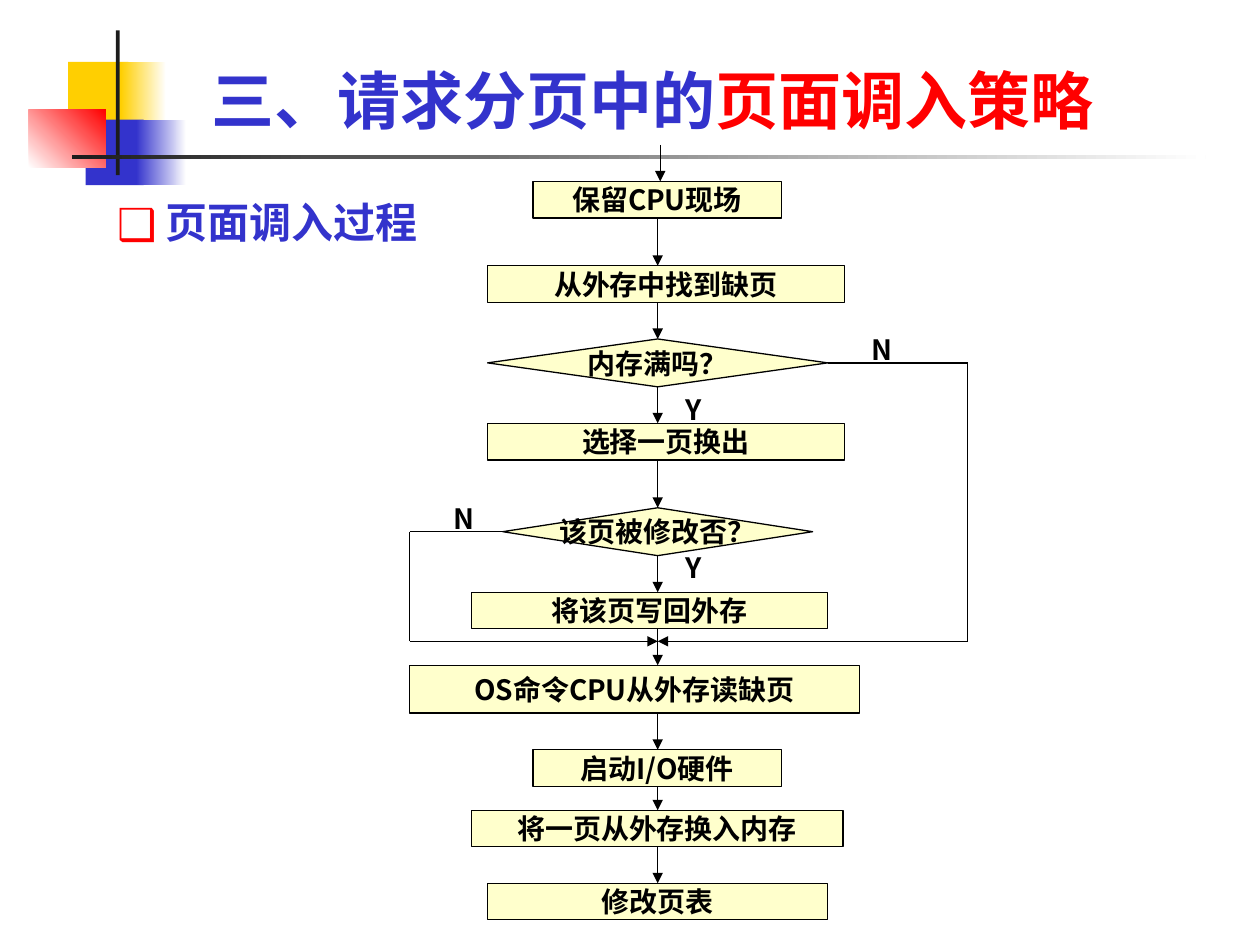
from itertools import pairwise

from lxml import etree
from pptx import Presentation
from pptx.dml.color import RGBColor
from pptx.enum import lang, shapes, text
from pptx.oxml import ns
from pptx.util import Inches, Pt

FONT = "Noto Sans CJK SC"
COLORS = {
    "blue": "3333CC", "red": "FF0000", "yellow": "FFCF01", "cream": "FFFFCC",
    "dark": "1C1C1C", "black": "000000", "white": "FFFFFF",
}
TITLE = [("三、请求分页中的", "blue"), ("页面调入策略", "red")]
TOPIC = "页面调入过程"
ORNAMENTS = [
    (0.54, 0.49, 0.48, 0.52, ["yellow"], 0),
    (0.96, 0.49, 0.36, 0.52, ["yellow", "white"], 0),
    (0.68, 0.95, 0.46, 0.52, ["blue"], 0),
    (1.08, 0.95, 0.4, 0.52, ["blue", "white"], 0),
    (0.23, 0.87, 0.61, 0.46, ["white", "red"], 45),
    (0.92, 0.24, 0.03, 1.15, ["dark"], 0),
    (0.57, 1.23, 9, 0.03, ["dark", "white"], 0),
]
PROCESS = shapes.MSO_SHAPE.FLOWCHART_PROCESS
DECISION = shapes.MSO_SHAPE.FLOWCHART_DECISION
STEPS = [
    ("保留CPU现场", PROCESS, 4.23, 1.44, 1.97, 0.29),
    ("从外存中找到缺页", PROCESS, 3.87, 2.11, 2.83, 0.29),
    ("内存满吗？", DECISION, 3.87, 2.69, 2.7, 0.38),
    ("选择一页换出", PROCESS, 3.87, 3.36, 2.83, 0.29),
    ("该页被修改否？", DECISION, 3.99, 4.03, 2.46, 0.38),
    ("将该页写回外存", PROCESS, 3.74, 4.7, 2.83, 0.29),
    ("OS命令CPU从外存读缺页", PROCESS, 3.25, 5.28, 3.57, 0.38),
    ("启动I/O硬件", PROCESS, 4.23, 5.95, 1.97, 0.29),
    ("将一页从外存换入内存", PROCESS, 3.74, 6.43, 2.95, 0.29),
    ("修改页表", PROCESS, 3.87, 7.01, 2.7, 0.29),
]
AXIS = 5.22
MERGE = 5.09
ENTRY = [(5.24, 1.15), (5.24, 1.44)]
BYPASSES = [
    [(6.57, 2.88), (7.68, 2.88), (7.68, MERGE), (AXIS, MERGE)],
    [(3.99, 4.22), (3.25, 4.22), (3.25, MERGE), (AXIS, MERGE)],
]
ANSWERS = [("Y", 5.34, 3.07), ("N", 6.82, 2.59), ("Y", 5.34, 4.32), ("N", 3.5, 3.93)]


def rgb(color):
    return RGBColor.from_string(COLORS[color])


def add_element(parent, tag, **attributes):
    return etree.SubElement(parent, ns.qn(tag), attributes)


def write(para, words, size=16, color="black", align=text.PP_ALIGN.LEFT):
    para.alignment = align
    para.space_before = Pt(0)
    span = para.add_run()
    span.text = words
    span.font.size = Pt(size)
    span.font.bold = True
    span.font.color.rgb = rgb(color)
    span.font.name = FONT
    span.font.language_id = lang.MSO_LANGUAGE_ID.SIMPLIFIED_CHINESE
    add_element(span.font._element, "a:ea", typeface=FONT)


def place(box, *bounds):
    box.left, box.top, box.width, box.height = map(Inches, bounds)


def add_ornament(page, left, top, width, height, colors, angle):
    box = page.shapes.add_shape(
        shapes.MSO_SHAPE.RECTANGLE, *map(Inches, (left, top, width, height)))
    box.shadow.inherit = False
    box.line.fill.background()
    if len(colors) == 1:
        box.fill.solid()
        box.fill.fore_color.rgb = rgb(colors[0])
        return
    box.fill.gradient()
    box.fill.gradient_angle = angle
    for stop, color in zip(box.fill.gradient_stops, colors):
        stop.color.rgb = rgb(color)


def add_step(page, words, kind, *bounds):
    box = page.shapes.add_shape(kind, *map(Inches, bounds))
    box.shadow.inherit = False
    box.fill.solid()
    box.fill.fore_color.rgb = rgb("cream")
    box.line.color.rgb = rgb("black")
    box.line.width = Pt(0.75)
    box.text_frame.word_wrap = False
    box.text_frame.vertical_anchor = text.MSO_ANCHOR.MIDDLE
    write(box.text_frame.paragraphs[0], words, align=text.PP_ALIGN.CENTER)


def add_route(page, points):
    for start, end in pairwise(points):
        line = page.shapes.add_connector(
            shapes.MSO_CONNECTOR.STRAIGHT, *map(Inches, start + end))
        line.line.color.rgb = rgb("black")
        line.line.width = Pt(0.75)
        add_element(line._element.spPr, "a:effectLst")
    add_element(line.line._get_or_add_ln(), "a:tailEnd", type="triangle")


def add_answer(page, words, left, top):
    box = page.shapes.add_textbox(*map(Inches, (left, top, 0.49, 0.37)))
    box.text_frame.word_wrap = True
    write(box.text_frame.paragraphs[0], words)


def fill_title(box):
    place(box, 1.58, 0.44, 7.98, 0.7)
    box.text_frame.auto_size = text.MSO_AUTO_SIZE.NONE
    box.text_frame.vertical_anchor = text.MSO_ANCHOR.BOTTOM
    for words, color in TITLE:
        write(box.text_frame.paragraphs[0], words, size=36, color=color)


def fill_topic(box):
    place(box, 0.83, 1.43, 8.33, 4.92)
    box.text_frame.auto_size = text.MSO_AUTO_SIZE.NONE
    para = box.text_frame.paragraphs[0]
    properties = para._p.get_or_add_pPr()
    properties.set("marL", str(Inches(0.38)))
    properties.set("indent", str(Inches(-0.38)))
    bullet_color = add_element(properties, "a:buClr")
    add_element(bullet_color, "a:srgbClr", val=COLORS["red"])
    add_element(properties, "a:buSzPct", val="105000")
    add_element(properties, "a:buFont", typeface=FONT)
    add_element(properties, "a:buChar", char="❑")
    para.line_spacing = 1.2
    write(para, TOPIC, size=24, color="blue")


def main():
    deck = Presentation()
    deck.slide_width, deck.slide_height = Inches(10), Inches(7.5)
    page = deck.slides.add_slide(deck.slide_layouts[1])
    fill_title(page.shapes.title)
    fill_topic(page.placeholders[1])
    for ornament in ORNAMENTS:
        add_ornament(page, *ornament)
    for step in STEPS:
        add_step(page, *step)
    for (*_, top, _, height), (*_, next_top, _, _) in pairwise(STEPS):
        add_route(page, [(AXIS, top + height), (AXIS, next_top)])
    for route in [ENTRY, *BYPASSES]:
        add_route(page, route)
    for answer in ANSWERS:
        add_answer(page, *answer)
    deck.save("out.pptx")


if __name__ == "__main__":
    main()
